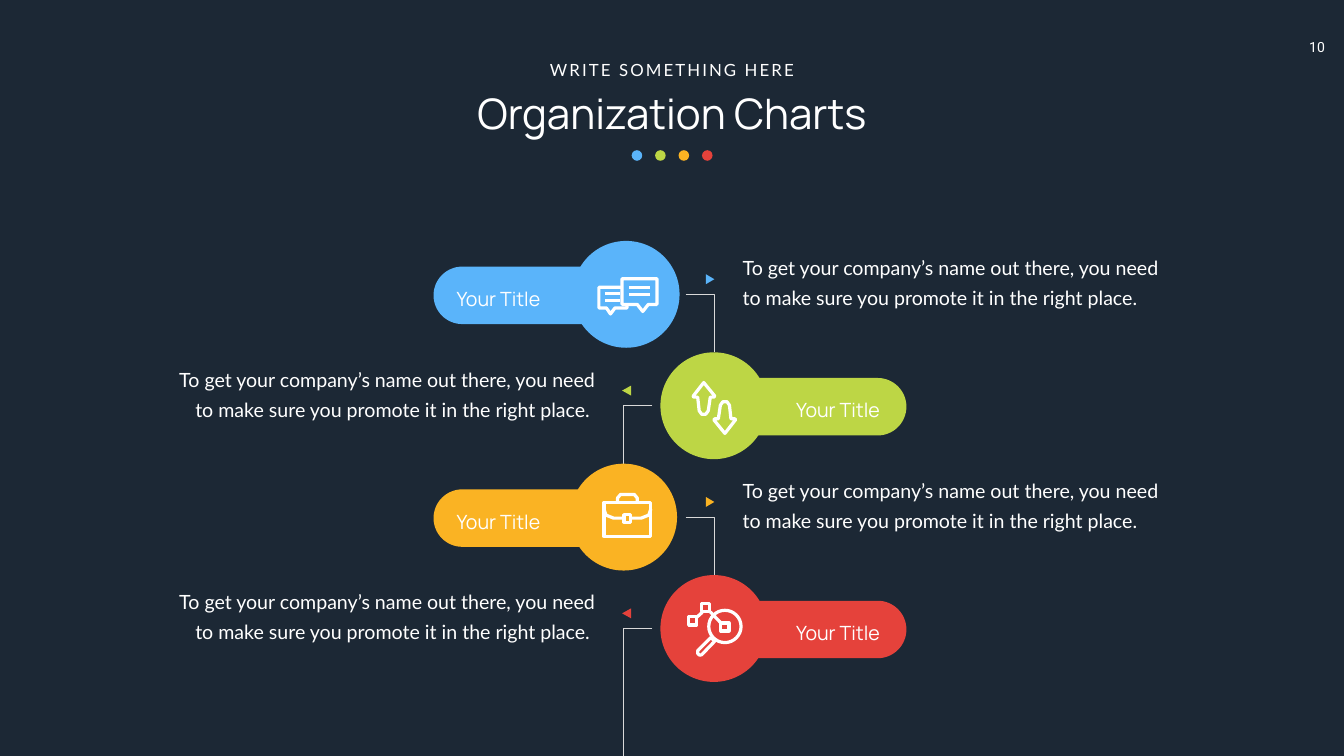
import math
from dataclasses import dataclass

from pptx import Presentation
from pptx.dml.color import RGBColor
from pptx.enum import shapes, text
from pptx.util import Inches, Pt


@dataclass(frozen=True)
class Theme:
    background: str = "1C2835"
    white: str = "FFFFFF"
    rule: str = "D9D9D9"
    accents: tuple = ("5AB4FA", "BDD645", "FAB323", "E5423B")
    heading_font: str = "Manrope"
    body_font: str = "Lato"
    number_font: str = "Roboto"
    title_size: int = 60
    body_size: int = 28
    kicker_size: int = 24
    number_size: int = 20
    rule_width: float = 0.71
    icon_width: float = 4.6


THEME = Theme()
WIDTH, HEIGHT = 26.66, 15
FIRST_TOP, ROW_PITCH = 4.78, 2.21
DIAMETER = 2.12
PILL_WIDTH, PILL_HEIGHT = 3.04, 1.14
DESCRIPTION = ("To get your company’s name out there, you need "
               "to make sure you promote it in the right place.")
LEFT, CENTER, RIGHT = text.PP_ALIGN.LEFT, text.PP_ALIGN.CENTER, text.PP_ALIGN.RIGHT


def arc(center_x, center_y, radius, start, end, steps=32):
    """Points along a circle, with angles in degrees."""
    angles = (math.radians(start + (end - start) * i / steps) for i in range(steps + 1))
    return [(center_x + radius * math.cos(a), center_y + radius * math.sin(a)) for a in angles]


def box(left, top, width, height):
    right, bottom = left + width, top + height
    return [(left, top), (right, top), (right, bottom), (left, bottom)]


def set_paint(shape, fill=None, line=None, width=0):
    shape.shadow.inherit = False
    if fill:
        shape.fill.solid()
        shape.fill.fore_color.rgb = RGBColor.from_string(fill)
    else:
        shape.fill.background()
    if line:
        shape.line.color.rgb = RGBColor.from_string(line)
        shape.line.width = Pt(width)
    else:
        shape.line.fill.background()


def add_outline(container, points, closed=True, **paint):
    start, *rest = [(Inches(x), Inches(y)) for x, y in points]
    builder = container.shapes.build_freeform(*start)
    builder.add_line_segments(rest, close=closed)
    set_paint(builder.convert_to_shape(), **paint)


def add_circle(slide, left, top, diameter, color):
    shape = slide.shapes.add_shape(shapes.MSO_SHAPE.OVAL, Inches(left), Inches(top),
                                   Inches(diameter), Inches(diameter))
    set_paint(shape, fill=color)


def write_text(shape, content, font, size, align=LEFT, wrap=True, margins=(0.1, 0.05),
               line_spacing=None, tracking=None):
    frame = shape.text_frame
    frame.auto_size = text.MSO_AUTO_SIZE.NONE
    frame.word_wrap = wrap
    frame.vertical_anchor = text.MSO_ANCHOR.TOP
    frame.margin_left = frame.margin_right = Inches(margins[0])
    frame.margin_top = frame.margin_bottom = Inches(margins[1])
    paragraph = frame.paragraphs[0]
    paragraph.alignment = align
    if line_spacing:
        paragraph.line_spacing = Pt(line_spacing)
    run = paragraph.add_run()
    run.text = content
    run.font.name = font
    run.font.size = Pt(size)
    run.font.color.rgb = RGBColor.from_string(THEME.white)
    if tracking:
        run.font._element.set("spc", str(tracking * 100))


def add_text(slide, left, top, width, height, content, **text_format):
    shape = slide.shapes.add_textbox(*map(Inches, (left, top, width, height)))
    write_text(shape, content, **text_format)


def add_header(slide):
    title = slide.shapes.title
    title.left, title.top, title.width, title.height = map(Inches, (5.3, 1.68, 16.06, 1.11))
    write_text(title, "Organization Charts", font=THEME.heading_font,
               size=THEME.title_size, align=CENTER)
    add_text(slide, 10.76, 1.13, 5.14, 0.5, "WRITE SOMETHING HERE", font=THEME.body_font,
             size=THEME.kicker_size, align=CENTER, wrap=False, tracking=3)
    for i, color in enumerate(THEME.accents):
        add_circle(slide, 12.53 + 0.465 * i, 2.98, 0.21, color)
    add_text(slide, 25.62, 0.67, 1.01, 0.54, "10", font=THEME.number_font,
             size=THEME.number_size, align=CENTER, margins=(0.2, 0.1))


def add_pill(slide, top, flat, direction, color):
    """Bar with a square end at x = flat and a round end in the given direction."""
    radius = PILL_HEIGHT / 2
    round_x = flat + direction * (PILL_WIDTH - radius)
    cap = arc(round_x, top + radius, radius, -90, -90 + 180 * direction)
    add_outline(slide, [(flat, top), *cap, (flat, top + PILL_HEIGHT)], fill=color)


def add_row(slide, top, color, on_left, circle_left, stem_bottom):
    """One level: pill and circle on one side, pointer, elbow and text on the other."""
    pill_flat, direction = (11.64, -1) if on_left else (14.94, 1)
    add_pill(slide, top + 0.51, pill_flat, direction, color)
    add_circle(slide, circle_left, top, DIAMETER, color)

    tip, base = (14.17, 14.0) if on_left else (12.34, 12.52)
    pointer_top = top + 0.66
    add_outline(slide, [(tip, pointer_top + 0.1), (base, pointer_top + 0.2),
                        (base, pointer_top)], fill=color)

    start, stem = (13.6, 14.17) if on_left else (12.94, 12.37)
    elbow = top + 1.06
    add_outline(slide, [(start, elbow), (stem, elbow), (stem, stem_bottom)], closed=False,
                line=THEME.rule, width=THEME.rule_width)

    add_text(slide, 8.96 if on_left else 15.54, top + 0.86, 2.01, 0.57, "Your Title",
             font=THEME.heading_font, size=THEME.body_size,
             align=LEFT if on_left else RIGHT, wrap=False)
    left, width, content, align = ((14.49, 8.85, DESCRIPTION, LEFT) if on_left
                                   else (3.11, 8.93, DESCRIPTION + " ", RIGHT))
    add_text(slide, left, top + 0.05, width, 1.39, content, font=THEME.body_font,
             size=THEME.body_size, align=align, margins=(0.24, 0.12), line_spacing=43)


def add_icon(slide, closed=(), opened=()):
    group = slide.shapes.add_group_shape()
    for is_closed, outlines in ((True, closed), (False, opened)):
        for points in outlines:
            add_outline(group, points, closed=is_closed, line=THEME.white,
                        width=THEME.icon_width)


def add_chat_icon(slide):
    front = [(12.34, 5.53), (13.03, 5.53), (13.03, 6.04), (12.86, 6.04),
             (12.75, 6.18), (12.64, 6.04), (12.34, 6.04)]
    back = [(12.33, 5.7), (11.88, 5.7), (11.88, 6.11), (12.03, 6.11),
            (12.11, 6.23), (12.2, 6.11), (12.44, 6.11), (12.44, 6.06)]
    lines = [[(left, y), (right, y)] for left, right, y in (
        (12.48, 12.89, 5.7), (12.48, 12.89, 5.84), (12.0, 12.3, 5.83), (12.0, 12.3, 5.97))]
    add_icon(slide, [front], [back, *lines])


def add_arrows_icon(slide):
    up = [(13.96, 7.59), (14.18, 7.86), (14.16, 7.88), (14.09, 7.88), (14.05, 8.15),
          (14.0, 8.22), (13.92, 8.22), (13.87, 8.15), (13.84, 7.88), (13.76, 7.88),
          (13.75, 7.86)]
    down = [(28.34 - x, 16.19 - y) for x, y in up]
    add_icon(slide, [up, down])


def add_briefcase_icon(slide):
    middle = 12.445
    left_flap = [(11.98, 10.1), (12.02, 10.22), (12.17, 10.28), (12.38, 10.28)]
    right_flap = [(2 * middle - x, y) for x, y in left_flap]
    handle = [(12.25, 9.95), (12.25, 9.88), (12.31, 9.81),
              (12.58, 9.81), (12.64, 9.88), (12.64, 9.95)]
    add_icon(slide, [box(11.98, 9.97, 0.93, 0.67), box(12.38, 10.21, 0.13, 0.15)],
             [left_flap, right_flap, handle])


def add_search_icon(slide):
    nodes = [box(x, y, 0.16, 0.16) for x, y in ((13.66, 12.24), (13.92, 11.98), (14.3, 12.36))]
    lens = arc(14.38, 12.43, 0.32, 0, 360)
    handle = [(14.1, 12.65), (13.84, 12.91), (13.84, 12.97), (13.88, 13.0),
              (13.92, 12.99), (14.18, 12.72)]
    links = [[(13.83, 12.24), (13.93, 12.15)], [(14.09, 12.14), (14.3, 12.36)]]
    add_icon(slide, [*nodes, lens, handle], links)


def main():
    presentation = Presentation()
    presentation.slide_width, presentation.slide_height = Inches(WIDTH), Inches(HEIGHT)
    slide = presentation.slides.add_slide(presentation.slide_layouts[5])
    slide.background.fill.solid()
    slide.background.fill.fore_color.rgb = RGBColor.from_string(THEME.background)

    add_header(slide)
    circle_lefts = (11.36, 13.1, 11.31, 13.1)
    for i, (color, circle_left) in enumerate(zip(THEME.accents, circle_lefts)):
        top = FIRST_TOP + ROW_PITCH * i
        is_last = i == len(THEME.accents) - 1
        add_row(slide, top, color, i % 2 == 0, circle_left,
                HEIGHT if is_last else top + ROW_PITCH)
    for draw_icon in (add_chat_icon, add_arrows_icon, add_briefcase_icon, add_search_icon):
        draw_icon(slide)
    presentation.save("out.pptx")


if __name__ == "__main__":
    main()
